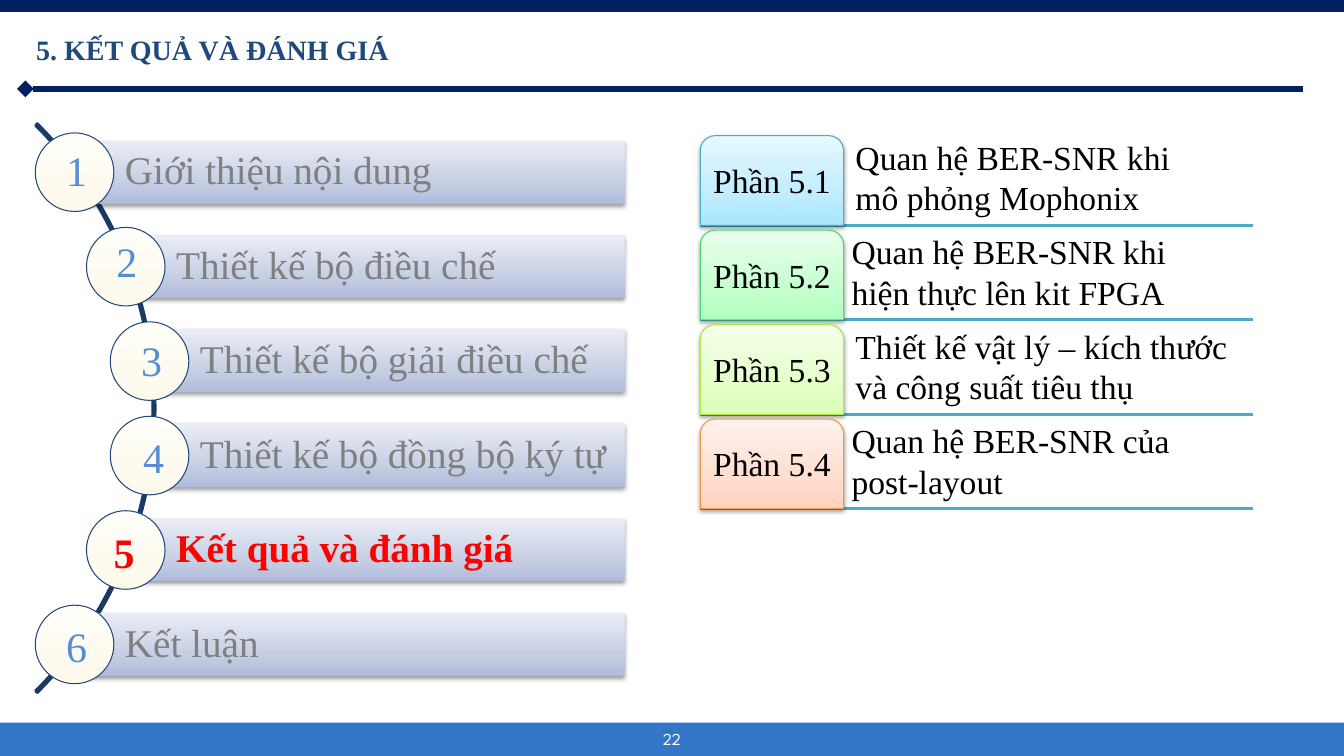
from dataclasses import dataclass

from lxml.etree import SubElement
from pptx import Presentation
from pptx.dml.color import RGBColor
from pptx.enum.shapes import MSO_CONNECTOR as Connector, MSO_SHAPE as Preset
from pptx.enum.text import MSO_ANCHOR as Anchor, MSO_AUTO_SIZE as AutoSize, PP_ALIGN as Align
from pptx.oxml.ns import qn
from pptx.util import Cm, Pt

SERIF = "Times New Roman"
NAVY = "002060"
TEAL = "4BACC6"
PITCH = 2.38
BAR_TOP, BAR_RIGHT, BAR_HEIGHT = 3.55, 15.74, 1.58
CIRCLE, NUMBER = 1.98, 1.7
CARD_LEFT, CARD_TOP, CARD_WIDTH, CARD_HEIGHT = 17.65, 3.42, 3.61, 2.26
DIVIDER_RIGHT = 31.57
DETAIL_TOP, DETAIL_HEIGHT = 3.32, 2.31
BAR_GRADIENT = ("AFBBDA", "C7CFE4", "EAEDF5")
CIRCLE_GRADIENT = ("FDFAEB", "FDFBF0", "FFFEF9")


@dataclass(frozen=True)
class Chapter:
    title: str
    left: float
    number_dx: float
    number_dy: float
    current: bool = False


@dataclass(frozen=True)
class Section:
    label: str
    detail: str
    gradient: tuple[str, str, str]
    outline: str
    detail_left: float
    detail_width: float


CHAPTERS = [
    Chapter("Giới thiệu nội dung", 1.88, 0.05, -0.06),
    Chapter("Thiết kế bộ điều chế", 3.17, 0.03, -0.14),
    Chapter("Thiết kế bộ giải điều chế", 3.77, 0.05, -0.04),
    Chapter("Thiết kế bộ đồng bộ ký tự", 3.77, 0.1, 0.04),
    Chapter("Kết quả và đánh giá", 3.17, -0.04, 0.05, current=True),
    Chapter("Kết luận", 1.88, 0.05, 0.04),
]
SECTIONS = [
    Section("Phần 5.1", "Quan hệ BER-SNR khi mô phỏng Mophonix",
            ("A7E6FF", "C1EDFF", "E7F8FF"), TEAL, 21.31, 9.17),
    Section("Phần 5.2", "Quan hệ BER-SNR khi hiện thực lên kit FPGA",
            ("AFFFBD", "C6FFD0", "E9FFED"), "47D872", 21.21, 9.98),
    Section("Phần 5.3", "Thiết kế vật lý – kích thước và công suất tiêu thụ",
            ("DBFFB6", "E5FFCB", "F5FFEB"), "ACE946", 21.31, 9.98),
    Section("Phần 5.4", "Quan hệ BER-SNR của post-layout",
            ("FFD2BD", "FFDED0", "FFF2ED"), "F79646", 21.21, 9.98),
]


def paint(color_format, hex_color: str) -> None:
    color_format.rgb = RGBColor.from_string(hex_color)


def write(shape, text: str, *, size: float, color: str, font: str = SERIF,
          bold: bool = False, align=Align.LEFT, anchor=Anchor.MIDDLE,
          spacing: float = 1.0, insets=(0.25, 0.13, 0.25, 0.13)) -> None:
    frame = shape.text_frame
    frame.word_wrap = True
    frame.vertical_anchor = anchor
    frame.margin_left, frame.margin_top, frame.margin_right, frame.margin_bottom = map(Cm, insets)
    paragraph = frame.paragraphs[0]
    paragraph.alignment = align
    paragraph.line_spacing = spacing
    run = paragraph.add_run()
    run.text = text
    run.font.name = font
    run.font.size = Pt(size)
    run.font.bold = bold
    paint(run.font.color, color)


def add_text(slide, box: tuple[float, ...], text: str, **style):
    shape = slide.shapes.add_textbox(*map(Cm, box))
    write(shape, text, **style)
    return shape


def fill_gradient(shape, colors: tuple[str, str, str]) -> None:
    shape.fill.gradient()
    shape.fill.gradient_angle = 90
    stops = shape.element.spPr.find(qn("a:gradFill")).find(qn("a:gsLst"))
    for stop in list(stops):
        stops.remove(stop)
    for position, color in zip((0, 35000, 100000), colors):
        stop = SubElement(stops, qn("a:gs"), pos=str(position))
        SubElement(stop, qn("a:srgbClr"), val=color)


def cast_shadow(shape) -> None:
    effects = shape.element.spPr.find(qn("a:effectLst"))
    shadow = SubElement(effects, qn("a:outerShdw"), blurRad="40000", dist="20000",
                        dir="5400000", rotWithShape="0")
    color = SubElement(shadow, qn("a:srgbClr"), val="000000")
    SubElement(color, qn("a:alpha"), val="38000")


def add_figure(slide, preset, box: tuple[float, ...], *, fill: str = "",
               gradient: tuple[str, ...] = (), outline: str = "",
               weight: float = 0.75, shadow: bool = False):
    shape = slide.shapes.add_shape(preset, *map(Cm, box))
    shape.shadow.inherit = False
    if gradient:
        fill_gradient(shape, gradient)
    elif fill:
        shape.fill.solid()
        paint(shape.fill.fore_color, fill)
    else:
        shape.fill.background()
    if outline:
        paint(shape.line.color, outline)
        shape.line.width = Pt(weight)
    else:
        shape.line.fill.background()
    if shadow:
        cast_shadow(shape)
    return shape


def add_rule(slide, left: float, right: float, y: float, color: str,
             weight: float, head: str = "") -> None:
    rule = slide.shapes.add_connector(Connector.STRAIGHT, Cm(left), Cm(y), Cm(right), Cm(y))
    paint(rule.line.color, color)
    rule.line.width = Pt(weight)
    properties = rule.element.spPr
    if head:
        SubElement(properties.find(qn("a:ln")), qn("a:headEnd"), type=head)
    SubElement(properties, qn("a:effectLst"))


def add_chapter(slide, index: int, chapter: Chapter) -> None:
    top = BAR_TOP + index * PITCH
    middle = top + BAR_HEIGHT / 2
    bar = add_figure(slide, Preset.RECTANGLE,
                     (chapter.left, top, BAR_RIGHT - chapter.left, BAR_HEIGHT),
                     gradient=BAR_GRADIENT, shadow=True)
    write(bar, chapter.title, size=28, color="FF0000" if chapter.current else "808080",
          bold=chapter.current, spacing=0.9, insets=(1.27, 0.2, 0.2, 0.2))
    add_figure(slide, Preset.OVAL,
               (chapter.left - CIRCLE / 2, middle - CIRCLE / 2, CIRCLE, CIRCLE),
               gradient=CIRCLE_GRADIENT, outline="1F497D")
    add_text(slide, (chapter.left + chapter.number_dx - NUMBER / 2,
                     middle + chapter.number_dy - NUMBER / 2, NUMBER, NUMBER),
             str(index + 1), size=30, color="FF0000" if chapter.current else "558ED5",
             bold=chapter.current, align=Align.CENTER)


def add_section(slide, index: int, section: Section) -> None:
    top = CARD_TOP + index * PITCH
    add_rule(slide, CARD_LEFT, DIVIDER_RIGHT, top + CARD_HEIGHT, TEAL, 2)
    card = add_figure(slide, Preset.ROUND_2_SAME_RECTANGLE,
                      (CARD_LEFT, top, CARD_WIDTH, CARD_HEIGHT),
                      gradient=section.gradient, outline=section.outline, shadow=True)
    write(card, section.label, size=24, color="000000", align=Align.CENTER,
          spacing=0.9, insets=(0.13,) * 4)
    detail = add_text(slide, (section.detail_left, DETAIL_TOP + index * PITCH,
                              section.detail_width, DETAIL_HEIGHT),
                      section.detail, size=24, color="000000", anchor=Anchor.TOP)
    detail.text_frame.auto_size = AutoSize.SHAPE_TO_FIT_TEXT


def main() -> None:
    deck = Presentation()
    deck.slide_width, deck.slide_height = Cm(33.87), Cm(19.05)
    slide = deck.slides.add_slide(deck.slide_layouts[5])

    add_figure(slide, Preset.RECTANGLE, (0, 18.21, 33.87, 0.84), fill="3376C7")
    add_text(slide, (0, 17.98, 33.87, 1.27), "22", size=12, color="FFFFFF",
             font="League Spartan", align=Align.CENTER)
    add_rule(slide, 0.64, 32.84, 2.24, NAVY, 4, head="diamond")
    add_figure(slide, Preset.RECTANGLE, (0, 0, 33.87, 0.3), fill=NAVY)

    title = slide.shapes.title
    title.left, title.top, title.width, title.height = map(Cm, (0.66, 0.33, 26.19, 1.83))
    write(title, "5. KẾT QUẢ VÀ ĐÁNH GIÁ", size=20, color="1F497D", bold=True)

    arc = add_figure(slide, Preset.BLOCK_ARC, (-16.36, 0.15, 20.27, 20.27),
                     outline="193A64", weight=2)
    for position, value in enumerate((189, 27, 0.003)):
        arc.adjustments[position] = value

    for index, chapter in enumerate(CHAPTERS):
        add_chapter(slide, index, chapter)
    for index, section in enumerate(SECTIONS):
        add_section(slide, index, section)

    deck.save("out.pptx")


if __name__ == "__main__":
    main()
